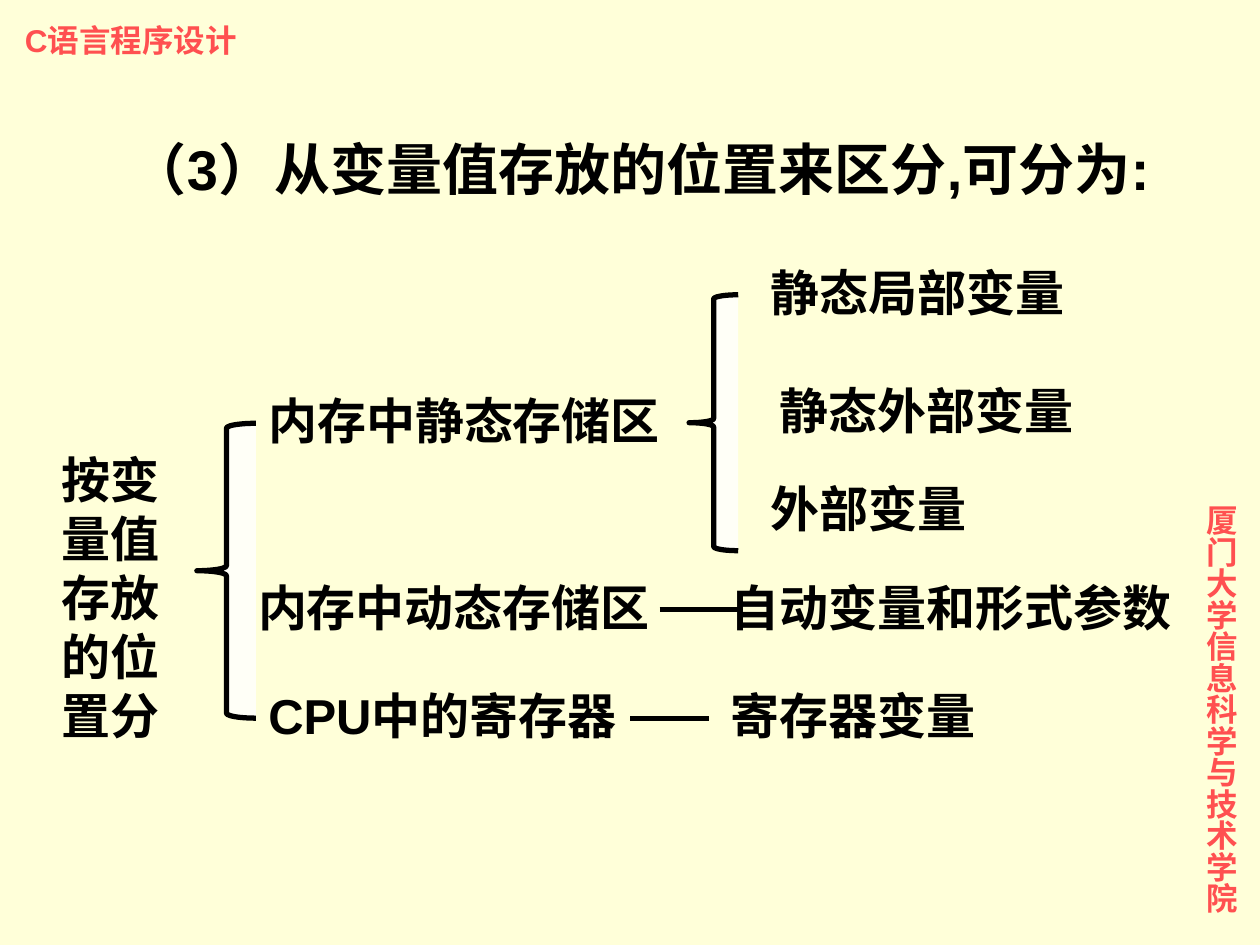
from pptx import Presentation
from pptx.dml.color import RGBColor as RGB
from pptx.enum.shapes import MSO_CONNECTOR as CONN, MSO_SHAPE as SHAPE
from pptx.enum.text import MSO_AUTO_SIZE as FIT
from pptx.oxml.ns import qn
from pptx.util import Pt
from lxml.etree import SubElement

THEME = dict(font="Arial", bg="FFFFD9", ink="000000", accent="FF5050", brace="FFFFF7",
             title=32, body=28, side=18, line=3)

# Content: text, left, top, width, height (points)
HEADER = ("C语言程序设计", 7.2, 8.64, 136.8, 28.8)
SCHOOL = ("厦门大学信息科学与技术学院", 675.36, 281.52, 36.72, 259.92)
TITLE = ("（3）从变量值存放的位置来区分,可分为:", 67.68, 73.44, 607.68, 46.08)
ROOT = ("按变量值存放的位置分", 28.1, 253.44, 78.5, 177.12)

# Tree labels: text, left, top, width
LABELS = [
    ("内存中静态存储区", 146.25, 219.6, 253.5),
    ("内存中动态存储区", 140.4, 326.2, 247.7),
    ("CPU中的寄存器", 146.25, 388.1, 241.9),
    ("静态局部变量", 433.4, 146.2, 202.3),
    ("静态外部变量", 438.5, 213.8, 191.5),
    ("外部变量", 433.4, 270, 157.7),
    ("自动变量和形式参数", 410.4, 326.2, 281.5),
    ("寄存器变量", 410.4, 388.1, 191.5),
]
LABEL_H = 41

# Braces: left, top, width, height; links: left, right, y
BRACES = [(112.5, 241.9, 33.75, 168.5), (393.75, 168.5, 28.1, 146.2)]
LINKS = [(376.9, 421.9, 348.5), (360, 405, 410.4)]


def color(key):
    return RGB.from_string(THEME[key])


def add_text(s, text, x, y, w, h, size="body", ink="ink", vertical=False):
    tf = s.shapes.add_textbox(Pt(x), Pt(y), Pt(w), Pt(h)).text_frame
    tf.word_wrap = True
    tf.auto_size = FIT.NONE if vertical else FIT.SHAPE_TO_FIT_TEXT
    if vertical:
        tf._txBody.bodyPr.set("vert", "eaVert")
    r = tf.paragraphs[0].add_run()
    r.text = text
    r.font.name, r.font.size, r.font.bold = THEME["font"], Pt(THEME[size]), True
    r.font.color.rgb = color(ink)


def style_line(sp):
    sp.line.color.rgb = color("ink")
    sp.line.width = Pt(THEME["line"])


def add_brace(s, x, y, w, h):
    sp = s.shapes.add_shape(SHAPE.LEFT_BRACE, Pt(x), Pt(y), Pt(w), Pt(h))
    sp.shadow.inherit = False
    sp.fill.solid()
    sp.fill.fore_color.rgb = color("brace")
    style_line(sp)


def add_link(s, x1, x2, y):
    sp = s.shapes.add_connector(CONN.STRAIGHT, Pt(x1), Pt(y), Pt(x2), Pt(y))
    style_line(sp)
    SubElement(sp._element.spPr, qn("a:effectLst"))


def main():
    prs = Presentation()
    prs.slide_width, prs.slide_height = Pt(720), Pt(540)
    s = prs.slides.add_slide(prs.slide_layouts[6])
    s.background.fill.solid()
    s.background.fill.fore_color.rgb = color("bg")

    # Running header and school name
    add_text(s, *HEADER, size="side", ink="accent")
    add_text(s, *SCHOOL, size="side", ink="accent", vertical=True)

    # Title and classification tree
    add_text(s, *TITLE, size="title")
    add_text(s, *ROOT)
    for brace in BRACES:
        add_brace(s, *brace)
    for label in LABELS:
        add_text(s, *label, LABEL_H)
    for link in LINKS:
        add_link(s, *link)

    prs.save("out.pptx")


if __name__ == "__main__":
    main()
